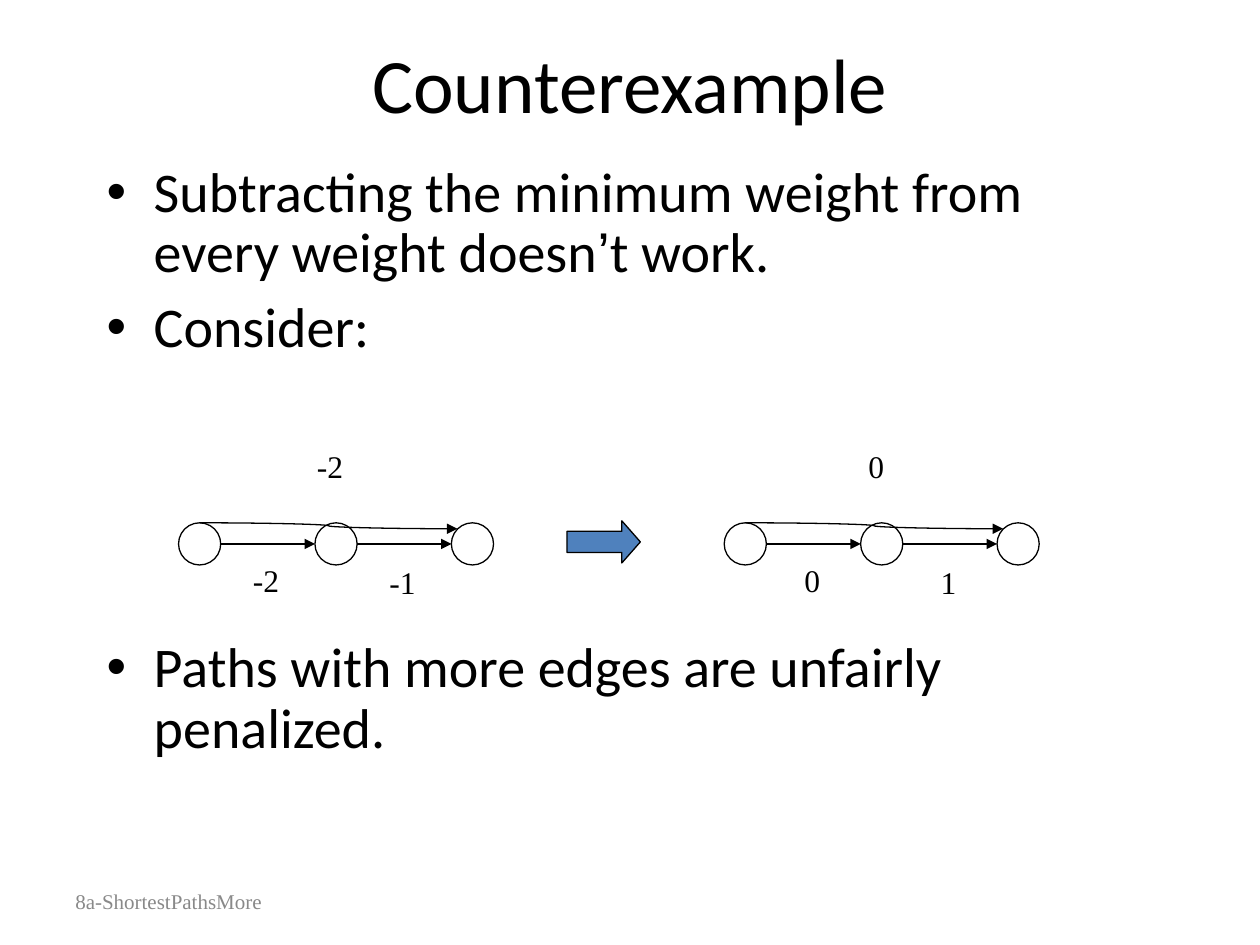
import pptx
import pptx.dml.color
import pptx.enum.shapes
import pptx.enum.text
import pptx.oxml
import pptx.oxml.ns
import pptx.util
from pptx.util import Cm, Pt

SHAPES = pptx.enum.shapes.MSO_SHAPE
CONNECTORS = pptx.enum.shapes.MSO_CONNECTOR
ANCHORS = pptx.enum.text.MSO_ANCHOR
ALIGNMENTS = pptx.enum.text.PP_ALIGN
BLACK = "000000"
SERIF = "Times New Roman"
NODE_SIZE = 0.85
NODE_PITCH = 2.75


def colour(value):
    return pptx.dml.color.RGBColor.from_string(value)


def add_element(parent, tag, **attributes):
    child = pptx.oxml.parse_xml(f"<a:{tag} {pptx.oxml.ns.nsdecls('a')}/>")
    for name, value in attributes.items():
        child.set(name, value)
    parent.append(child)


def add_run(para, text, size, font, value=BLACK):
    span = para.add_run()
    span.text = text
    span.font.size = Pt(size)
    span.font.name = font
    span.font.color.rgb = colour(value)


def add_box(page, left, top, width, height, wrap=True, anchor=ANCHORS.TOP):
    frame = page.shapes.add_textbox(Cm(left), Cm(top), Cm(width), Cm(height)).text_frame
    frame.word_wrap = wrap
    frame.vertical_anchor = anchor
    return frame


def add_title(page, left, top, width, height):
    para = add_box(page, left, top, width, height, anchor=ANCHORS.MIDDLE).paragraphs[0]
    para.alignment = ALIGNMENTS.CENTER
    add_run(para, "Counterexample", 44, "Calibri")


def add_footer(page, left, top, width, height):
    para = add_box(page, left, top, width, height, anchor=ANCHORS.MIDDLE).paragraphs[0]
    add_run(para, "8a-ShortestPathsMore", 12, SERIF, "898989")


def add_body(page, left, top, width, height):
    points = [
        (8, [("Subtracting the minimum weight from every weight doesn", "Calibri"),
             ("’", "Arial"), ("t work.", "Calibri")]),
        (8, [("Consider:", "Calibri")]),
        (160, [("Paths with more edges are unfairly penalized.", "Calibri")]),
    ]
    frame = add_box(page, left, top, width, height)
    for index, (space, spans) in enumerate(points):
        para = frame.add_paragraph() if index else frame.paragraphs[0]
        para.line_spacing = 0.9
        para.space_before = Pt(space)
        properties = para._p.get_or_add_pPr()
        properties.set("marL", str(Cm(0.95)))
        properties.set("indent", str(-Cm(0.95)))
        add_element(properties, "buFont", typeface="Arial")
        add_element(properties, "buChar", char="•")
        for text, font in spans:
            add_run(para, text, 32, font)


def add_outlined(page, kind, left, top, width, height, fill=None):
    shape = page.shapes.add_shape(kind, Cm(left), Cm(top), Cm(width), Cm(height))
    shape.shadow.inherit = False
    if fill:
        shape.fill.solid()
        shape.fill.fore_color.rgb = colour(fill)
    else:
        shape.fill.background()
    shape.line.color.rgb = colour(BLACK)
    shape.line.width = Pt(0.75)
    return shape


def add_edge(page, kind, start, end):
    edge = page.shapes.add_connector(kind, *(Cm(length) for length in start + end))
    edge.line.color.rgb = colour(BLACK)
    edge.line.width = Pt(0.75)
    add_element(edge.line._get_or_add_ln(), "tailEnd", type="triangle")
    add_element(edge._element.spPr, "effectLst")


def add_graph(page, left, top, first, second, direct):
    """Draw three nodes in a row, labelled with the weights of their edges."""
    middle = top + NODE_SIZE / 2
    for index in range(3):
        node_left = left + index * NODE_PITCH
        add_outlined(page, SHAPES.OVAL, node_left, top, NODE_SIZE, NODE_SIZE)
        if index < 2:
            add_edge(page, CONNECTORS.STRAIGHT, (node_left + NODE_SIZE, middle),
                     (node_left + NODE_PITCH, middle))
    add_edge(page, CONNECTORS.CURVE, (left + NODE_SIZE / 2, top),
             (left + 2 * NODE_PITCH + 0.12, top + 0.12))
    labels = [(first, 1.77, 0.64), (second, 4.52, 0.69), (direct, 3.06, -1.65)]
    for weight, centre, offset in labels:
        width = 0.58 + 0.23 * len(weight)
        frame = add_box(page, left + centre - width / 2, top + offset, width, 1.02, wrap=False)
        frame.auto_size = pptx.enum.text.MSO_AUTO_SIZE.SHAPE_TO_FIT_TEXT
        add_run(frame.paragraphs[0], weight, 18, SERIF)


def main():
    deck = pptx.Presentation()
    deck.slide_width, deck.slide_height = Cm(25.4), Cm(19.05)
    page = deck.slides.add_slide(deck.slide_layouts[6])
    add_footer(page, 1.27, 17.65, 5.92, 1.02)
    add_title(page, 1.27, 0.08, 22.86, 3.18)
    add_body(page, 1.9, 3.18, 21.6, 12.22)
    add_graph(page, 3.6, 10.54, "-2", "-1", "-2")
    add_graph(page, 14.6, 10.54, "0", "1", "0")
    arrow = add_outlined(page, SHAPES.RIGHT_ARROW, 11.43, 10.5, 1.48, 0.85, "4F81BD")
    arrow.adjustments[1] = 0.44
    deck.save("out.pptx")


if __name__ == "__main__":
    main()
